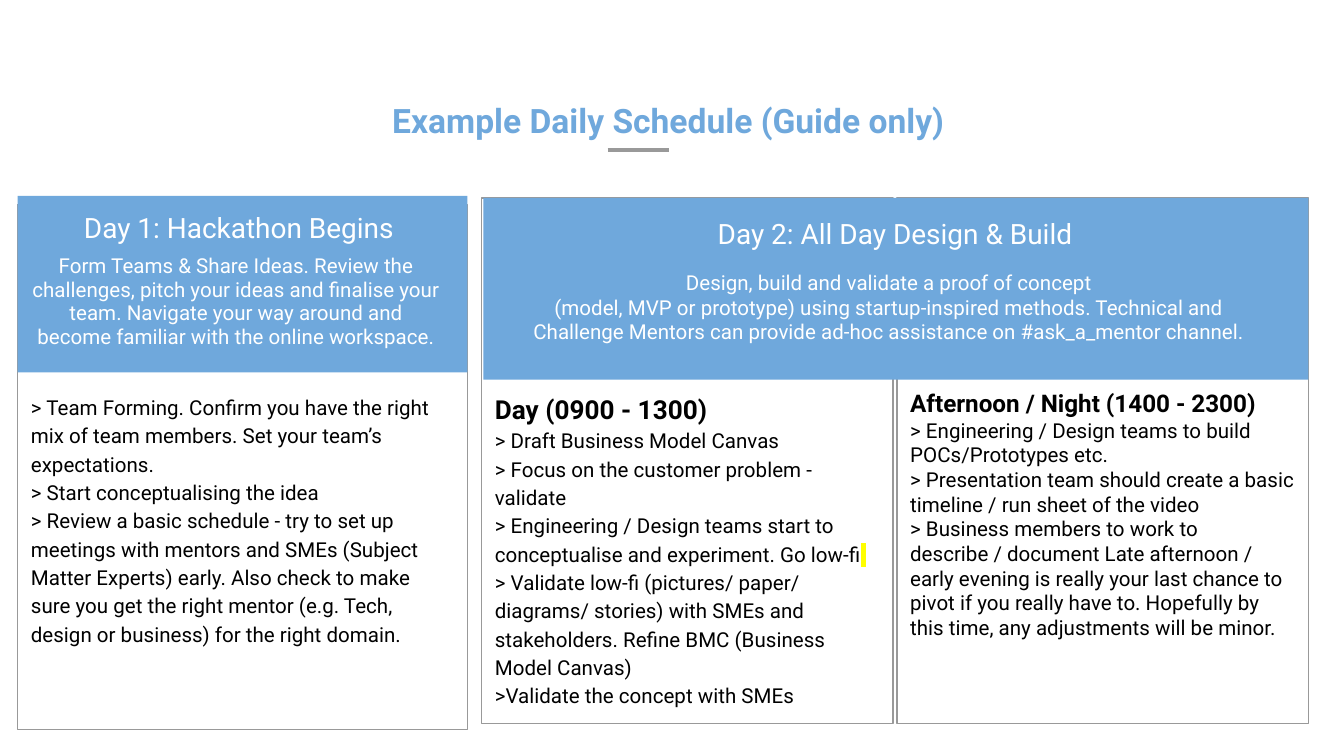
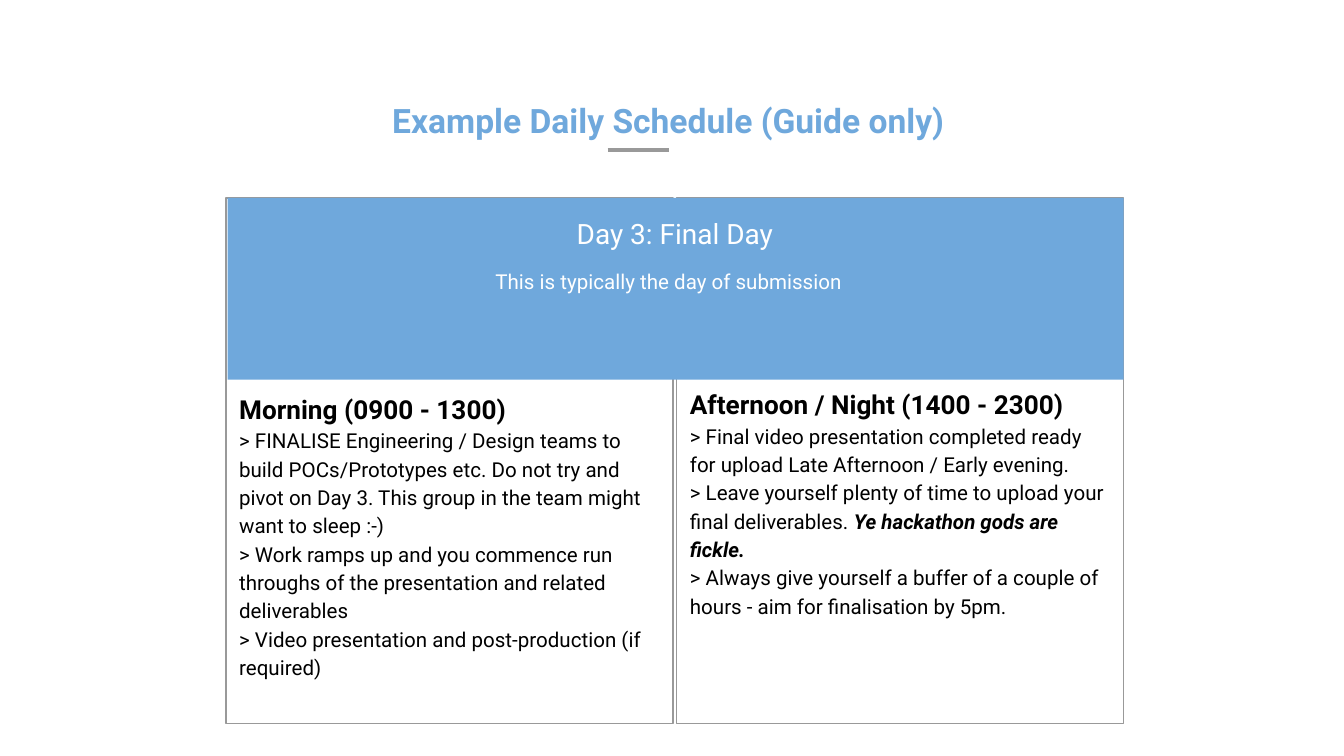
import dataclasses

import lxml.etree
import pptx
import pptx.dml.color
import pptx.enum.shapes
import pptx.enum.text
import pptx.oxml.ns
import pptx.util

Pt = pptx.util.Pt
RGBColor = pptx.dml.color.RGBColor
CENTER = pptx.enum.text.PP_ALIGN.CENTER
LEFT = pptx.enum.text.PP_ALIGN.LEFT

BLUE = RGBColor(0x6F, 0xA8, 0xDC)
GREY = RGBColor(0x99, 0x99, 0x99)
WHITE = RGBColor(0xFF, 0xFF, 0xFF)
BLACK = RGBColor(0x00, 0x00, 0x00)
YELLOW = RGBColor(0xFF, 0xFF, 0x00)

FONT = "Roboto"
INSET = 7.2
BODY_SIZE = 11
DAY_SIZE = 15
COLUMN_GAP = 2
LOOSE = 1.15


@dataclasses.dataclass
class Run:
    text: str
    emphasis: bool = False
    highlight: RGBColor = None


@dataclasses.dataclass
class Session:
    heading: str
    points: list
    heading_size: float = 14
    heading_spacing: float = LOOSE
    point_spacing: float = LOOSE


# Basic parts

def add_box(slide, left, top, width, height, fill=None, line=None):
    shape = slide.shapes.add_shape(
        pptx.enum.shapes.MSO_SHAPE.RECTANGLE, Pt(left), Pt(top), Pt(width), Pt(height))
    shape.shadow.inherit = False
    if fill is None:
        shape.fill.background()
    else:
        shape.fill.solid()
        shape.fill.fore_color.rgb = fill
    if line is None:
        shape.line.fill.background()
    else:
        shape.line.color.rgb = line
        shape.line.width = Pt(0.75)


def add_text_frame(slide, left, top, width, height):
    frame = slide.shapes.add_textbox(Pt(left), Pt(top), Pt(width), Pt(height)).text_frame
    frame.word_wrap = True
    frame.margin_left = frame.margin_right = Pt(INSET)
    frame.margin_top = frame.margin_bottom = Pt(INSET)
    return frame


def highlight_run(run, color):
    properties = run.font._element
    highlight = lxml.etree.Element(pptx.oxml.ns.qn("a:highlight"))
    lxml.etree.SubElement(highlight, pptx.oxml.ns.qn("a:srgbClr"), val=str(color))
    properties.insert(0, highlight)


def write_paragraph(frame, content, size, color, bold=False, align=LEFT, spacing=1.0):
    """Write content, a string or a list of Run, as the next paragraph."""
    paragraph = frame.paragraphs[0]
    if paragraph.runs:
        paragraph = frame.add_paragraph()
    paragraph.alignment = align
    paragraph.line_spacing = spacing
    paragraph.font.name = FONT
    paragraph.font.size = Pt(size)
    paragraph.font.color.rgb = color
    paragraph.font.bold = bold
    for part in [Run(content)] if isinstance(content, str) else content:
        run = paragraph.add_run()
        run.text = part.text
        if part.emphasis:
            run.font.bold = run.font.italic = True
        if part.highlight is not None:
            highlight_run(run, part.highlight)


# Slide title with its short rule

def add_title(slide, text):
    frame = add_text_frame(slide, 0, 46.5, 716, 36)
    write_paragraph(frame, text, 18, BLUE, bold=True, align=CENTER)
    rule = slide.shapes.add_connector(
        pptx.enum.shapes.MSO_CONNECTOR.STRAIGHT, Pt(325.5), Pt(80.5), Pt(358.5), Pt(80.5))
    rule.line.color.rgb = GREY
    rule.line.width = Pt(2.25)
    lxml.etree.SubElement(rule._element.spPr, pptx.oxml.ns.qn("a:effectLst"))


# Card for a day in one part

def add_single_day(slide, left, top, width, height, day, summary, points):
    add_box(slide, left, top + 4.5, width, height - 4.5, line=GREY)
    add_box(slide, left, top, width, 94.5, fill=BLUE)

    frame = add_text_frame(slide, left - 2, top - 2, width, 36)
    write_paragraph(frame, day, DAY_SIZE, WHITE, align=CENTER, spacing=LOOSE)
    frame = add_text_frame(slide, left, top + 24.5, width - 7, 68)
    write_paragraph(frame, summary, BODY_SIZE, WHITE, align=CENTER, spacing=0.95)

    frame = add_text_frame(slide, left, top + 97.5, width, 177)
    for point in points:
        write_paragraph(frame, point, BODY_SIZE, BLACK, spacing=LOOSE)


# Card for a day split into sessions side by side

def add_split_day(slide, left, top, width, height, day, summary, sessions):
    band_height = 97.5
    column_width = (width - COLUMN_GAP * (len(sessions) - 1)) / len(sessions)
    columns = [left + index * (column_width + COLUMN_GAP) for index in range(len(sessions))]

    for column in columns:
        add_box(slide, column, top, column_width, height, line=GREY)
    add_box(slide, left + 1, top, width - 1, band_height, fill=BLUE)

    frame = add_text_frame(slide, left, top, width, 36)
    write_paragraph(frame, day, DAY_SIZE, WHITE, align=CENTER, spacing=LOOSE)
    frame = add_text_frame(slide, left + 7, top + 31.5, width - 20.5, 55)
    for line in summary:
        write_paragraph(frame, line, BODY_SIZE, WHITE, align=CENTER)

    for column, session in zip(columns, sessions):
        frame = add_text_frame(slide, column, top + 95, column_width, height - 95)
        write_paragraph(frame, session.heading, session.heading_size, BLACK, bold=True,
                        spacing=session.heading_spacing)
        for point in session.points:
            write_paragraph(frame, point, BODY_SIZE, BLACK, spacing=session.point_spacing)


# Slides

def add_schedule_slide(presentation):
    slide = presentation.slides.add_slide(presentation.slide_layouts[6])
    add_title(slide, "Example Daily Schedule (Guide only)")
    return slide


def build_first_days(presentation):
    slide = add_schedule_slide(presentation)
    add_single_day(
        slide, 9.5, 105, 241, 286,
        "Day 1: Hackathon Begins",
        "Form Teams & Share Ideas. Review the challenges, pitch your ideas and finalise "
        "your team. Navigate your way around and become familiar with the online workspace.",
        [
            "> Team Forming. Confirm you have the right mix of team members. "
            "Set your team’s expectations.",
            "> Start conceptualising the idea",
            "> Review a basic schedule - try to set up meetings with mentors and SMEs "
            "(Subject Matter Experts) early. Also check to make sure you get the right "
            "mentor (e.g. Tech, design or business) for the right domain.",
        ])
    day_session = Session("Day (0900 - 1300)", [
        "> Draft Business Model Canvas",
        "> Focus on the customer problem - validate",
        [Run("> Engineering / Design teams start to conceptualise and experiment. Go low-fi"),
         Run(" ", highlight=YELLOW)],
        "> Validate low-fi (pictures/ paper/ diagrams/ stories) with SMEs and "
        "stakeholders. Refine BMC (Business Model Canvas)",
        ">Validate the concept with SMEs",
    ])
    night_session = Session("Afternoon / Night (1400 - 2300)", [
        "> Engineering / Design teams to build POCs/Prototypes etc.",
        "> Presentation team should create a basic timeline / run sheet of the video",
        "> Business members to work to describe / document Late afternoon / early evening "
        "is really your last chance to pivot if you really have to. Hopefully by this "
        "time, any adjustments will be minor.",
    ], heading_size=13, heading_spacing=1.0, point_spacing=1.0)
    add_split_day(
        slide, 258, 106, 443, 281.5,
        "Day 2: All Day Design & Build",
        [
            "Design, build and validate a proof of concept",
            "(model, MVP or prototype) using startup-inspired methods. Technical and "
            "Challenge Mentors can provide ad-hoc assistance on #ask_a_mentor channel.",
        ],
        [day_session, night_session])


def build_final_day(presentation):
    slide = add_schedule_slide(presentation)
    morning_session = Session("Morning (0900 - 1300)", [
        "> FINALISE Engineering / Design teams to build POCs/Prototypes etc. Do not try "
        "and pivot on Day 3. This group in the team might want to sleep :-)",
        "> Work ramps up and you commence run throughs of the presentation and related "
        "deliverables",
        "> Video presentation and post-production (if required)",
    ])
    night_session = Session("Afternoon / Night (1400 - 2300)", [
        "> Final video presentation completed ready for upload Late Afternoon / "
        "Early evening.",
        [Run("> Leave yourself plenty of time to upload your final deliverables. "),
         Run("Ye hackathon gods are fickle.", emphasis=True)],
        "> Always give yourself a buffer of a couple of hours - aim for finalisation by 5pm.",
    ], heading_spacing=1.0)
    add_split_day(
        slide, 121, 106, 481, 281.5,
        "Day 3: Final Day",
        ["This is typically the day of submission"],
        [morning_session, night_session])


def main():
    presentation = pptx.Presentation()
    presentation.slide_width = Pt(720)
    presentation.slide_height = Pt(405)
    build_first_days(presentation)
    build_final_day(presentation)
    presentation.save("out.pptx")


if __name__ == "__main__":
    main()
